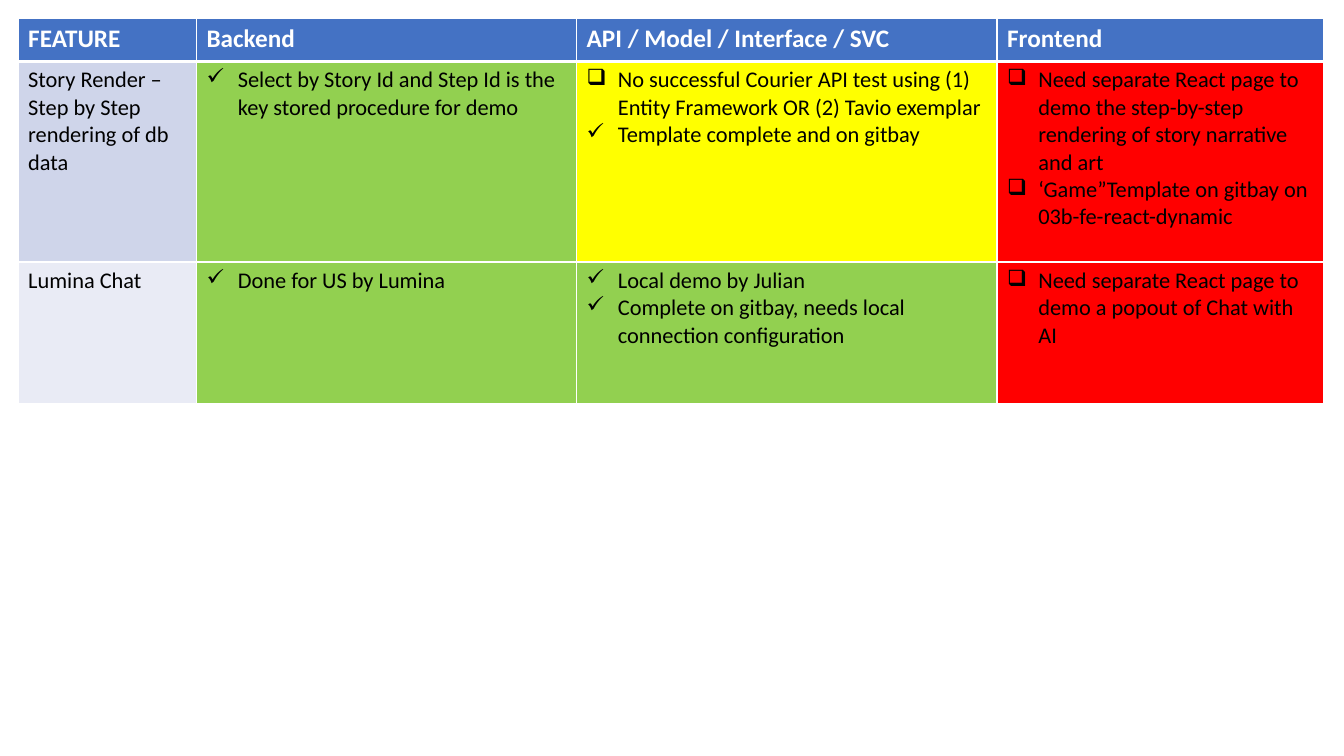
from pptx import Presentation, util as u
from pptx.dml.color import RGBColor
from pptx.oxml import parse_xml
from pptx.oxml.ns import nsdecls

WHITE = RGBColor(0xFF, 0xFF, 0xFF)
BLACK = RGBColor(0x00, 0x00, 0x00)
HEADER_BLUE = RGBColor(0x44, 0x72, 0xC4)
BAND_DARK = RGBColor(0xCF, 0xD5, 0xEA)
BAND_LIGHT = RGBColor(0xE9, 0xEB, 0xF5)
DONE_GREEN = RGBColor(0x92, 0xD0, 0x50)
PARTIAL_YELLOW = RGBColor(0xFF, 0xFF, 0x00)
OPEN_RED = RGBColor(0xFF, 0x00, 0x00)

DONE, OPEN = "✓", "❑"
MARGIN = 0.18
COLUMNS = [1.77, 3.77, 4.17, 3.24]
ROWS = [0.43, 1.99, 1.4]
INDENT = u.Inches(0.31)

HEADINGS = ["FEATURE", "Backend", "API / Model / Interface / SVC", "Frontend"]
FEATURES = [
    [
        (BAND_DARK, [(None, "Story Render – Step by Step rendering of db data")]),
        (DONE_GREEN, [(DONE, "Select by Story Id and Step Id is the key stored procedure for demo")]),
        (PARTIAL_YELLOW, [
            (OPEN, "No successful Courier API test using (1) Entity Framework OR (2) Tavio exemplar"),
            (DONE, "Template complete and on gitbay"),
        ]),
        (OPEN_RED, [
            (OPEN, "Need separate React page to demo the step-by-step rendering of story narrative and art"),
            (OPEN, "‘Game”Template on gitbay on 03b-fe-react-dynamic"),
        ]),
    ],
    [
        (BAND_LIGHT, [(None, "Lumina Chat")]),
        (DONE_GREEN, [(DONE, "Done for US by Lumina")]),
        (DONE_GREEN, [
            (DONE, "Local demo by Julian"),
            (DONE, "Complete on gitbay, needs local connection configuration"),
        ]),
        (OPEN_RED, [(OPEN, "Need separate React page to demo a popout of Chat with AI")]),
    ],
]


def add_bullet(para, mark):
    props = para._p.get_or_add_pPr()
    props.set("marL", str(INDENT))
    props.set("indent", str(-INDENT))
    props.append(parse_xml(f'<a:buChar {nsdecls("a")} char="{mark}"/>'))


def add_borders(cell, bottom):
    props = cell._tc.get_or_add_tcPr()
    widths = {"L": 1, "R": 1, "T": 1, "B": bottom}
    for position, (side, width) in enumerate(widths.items()):
        props.insert(position, parse_xml(
            f'<a:ln{side} {nsdecls("a")} w="{u.Pt(width)}"><a:solidFill>'
            f'<a:srgbClr val="{WHITE}"/></a:solidFill></a:ln{side}>'))


def fill_cell(cell, fill, items, size, color, bold=False, bottom=1):
    cell.fill.solid()
    cell.fill.fore_color.rgb = fill
    add_borders(cell, bottom)
    frame = cell.text_frame
    frame.text = "\n".join(words for mark, words in items)
    for para, (mark, words) in zip(frame.paragraphs, items):
        para.font.name = "Calibri"
        para.font.size = u.Pt(size)
        para.font.bold = bold
        para.font.color.rgb = color
        if mark:
            add_bullet(para, mark)


def add_status_table(page):
    table = page.shapes.add_table(
        len(ROWS), len(COLUMNS), u.Inches(MARGIN), u.Inches(MARGIN),
        u.Inches(sum(COLUMNS)), u.Inches(sum(ROWS))).table
    for column, width in zip(table.columns, COLUMNS):
        column.width = u.Inches(width)
    for row, height in zip(table.rows, ROWS):
        row.height = u.Inches(height)
    for column, heading in enumerate(HEADINGS):
        fill_cell(table.cell(0, column), HEADER_BLUE, [(None, heading)],
                  18, WHITE, bold=True, bottom=3)
    for row, feature in enumerate(FEATURES, 1):
        for column, (fill, items) in enumerate(feature):
            fill_cell(table.cell(row, column), fill, items, 16, BLACK)


def main():
    deck = Presentation()
    deck.slide_width = u.Inches(13.33)
    deck.slide_height = u.Inches(7.5)
    page = deck.slides.add_slide(deck.slide_layouts[6])
    add_status_table(page)
    deck.save("out.pptx")


if __name__ == "__main__":
    main()
